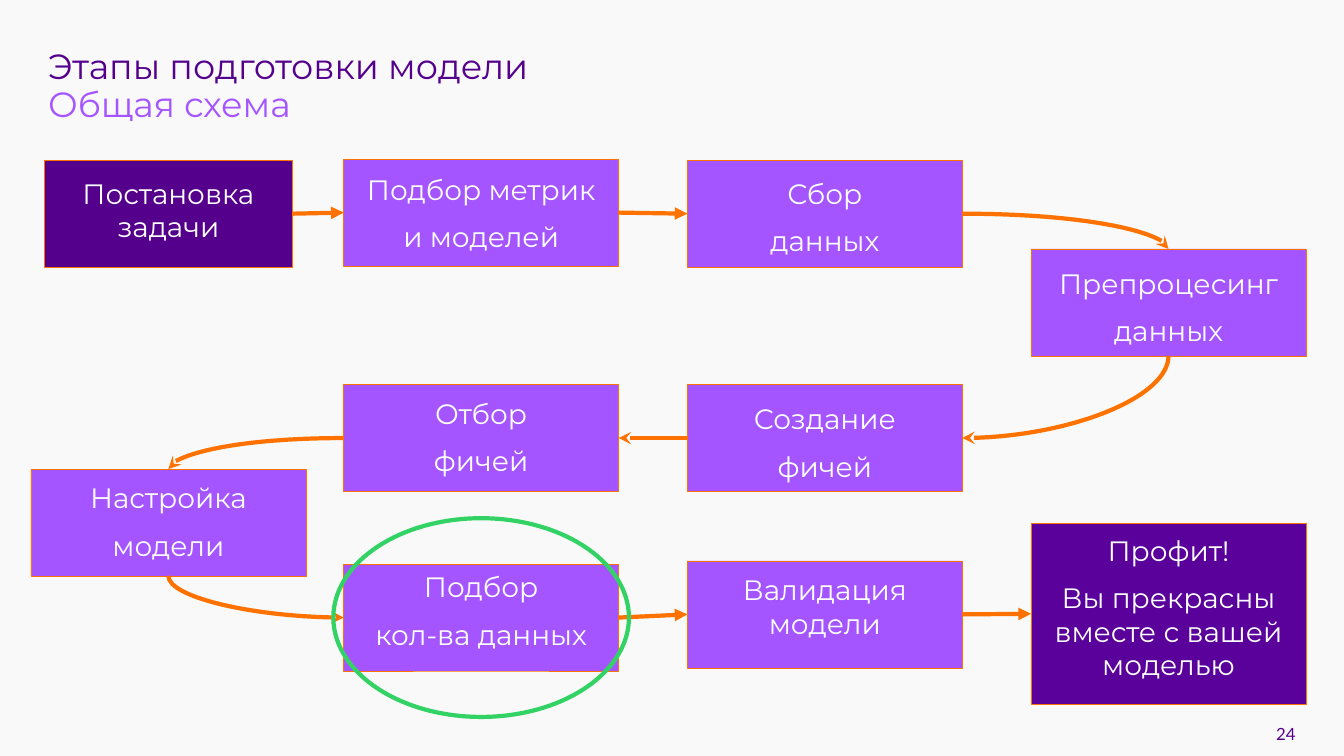
from dataclasses import dataclass

from lxml import etree
from pptx import Presentation
from pptx import util as u
from pptx.dml.color import RGBColor
from pptx.enum import shapes, text
from pptx.oxml import ns


@dataclass(frozen=True)
class Theme:
    background: str = "F9F9F9"
    dark: str = "55008C"
    finish: str = "5A009B"
    light: str = "A555FF"
    accent: str = "FF7200"
    highlight: str = "32D264"
    white: str = "FFFFFF"
    font: str = "Montserrat"
    number_font: str = "Lato"
    title_size: int = 50
    step_size: int = 40
    number_size: int = 24
    thin: float = 0.75
    thick: float = 6


theme = Theme()
COLUMN = u.Inches(6.82)
ROW = u.Inches(2.12)
TOP, LEFT, BOTTOM, RIGHT = range(4)  # connection sites of a rectangle

presentation = Presentation()
presentation.slide_width = u.Inches(26.67)
presentation.slide_height = u.Inches(15)
slide = presentation.slides.add_slide(presentation.slide_layouts[6])
slide.background.fill.solid()
slide.background.fill.fore_color.rgb = RGBColor.from_string(theme.background)


def write(shape, lines, size, font, alignment, anchor=text.MSO_ANCHOR.TOP):
    """Fill a shape with one paragraph per (line, colour) pair."""
    frame = shape.text_frame
    frame.word_wrap = True
    frame.vertical_anchor = anchor
    frame.margin_left = frame.margin_right = frame.margin_top = frame.margin_bottom = 0
    frame.text = "\n".join(line for line, _ in lines)
    for paragraph, (_, color) in zip(frame.paragraphs, lines):
        paragraph.alignment = alignment
        paragraph.font.size = u.Pt(size)
        paragraph.font.name = font
        paragraph.font.color.rgb = RGBColor.from_string(color)
    return frame


def connect(start, start_site, end, end_site, kind, arrow, at="tailEnd"):
    connector = slide.shapes.add_connector(kind, 0, 0, 0, 0)
    connector.begin_connect(start, start_site)
    connector.end_connect(end, end_site)
    connector.line.color.rgb = RGBColor.from_string(theme.accent)
    connector.line.width = u.Pt(theme.thick)
    etree.SubElement(connector.line._get_or_add_ln(), ns.qn("a:" + at), type=arrow)
    properties = connector._element.spPr
    etree.SubElement(properties, ns.qn("a:effectLst"))
    if kind == shapes.MSO_CONNECTOR.CURVE:
        properties.find(ns.qn("a:prstGeom")).set("prst", "curvedConnector2")


# Title
title = slide.shapes.add_textbox(0.14 * COLUMN, 0.46 * ROW, 1.87 * COLUMN, ROW)
title_lines = [("Этапы подготовки модели", theme.dark), ("Общая схема", theme.light)]
frame = write(title, title_lines, theme.title_size, theme.font, text.PP_ALIGN.LEFT)
for paragraph in frame.paragraphs:
    paragraph.line_spacing = 0.9

# Steps: column, row, width in columns, height in rows, text inset in rows, fill, lines
steps = [
    (0.13, 1.5, 0.72, 1, 0.15, theme.dark, ["Постановка задачи"]),
    (1, 1.49, 0.8, 1, 0.12, theme.light, ["Подбор метрик", "и моделей"]),
    (2, 1.5, 0.8, 1, 0.15, theme.light, ["Сбор", "данных"]),
    (3, 2.33, 0.8, 1, 0.16, theme.light, ["Препроцесинг", "данных"]),
    (2, 3.6, 0.8, 1, 0.16, theme.light, ["Создание", "фичей"]),
    (1, 3.6, 0.8, 1, 0.11, theme.light, ["Отбор", "фичей"]),
    (0.09, 4.39, 0.8, 1, 0.11, theme.light, ["Настройка", "модели"]),
    (1, 5.28, 0.8, 1, 0.05, theme.light, ["Подбор", "кол-ва данных"]),
    (2, 5.25, 0.8, 1, 0.11, theme.light, ["Валидация модели"]),
    (3, 4.9, 0.8, 1.69, 0.09, theme.finish,
     ["Профит!", "Вы прекрасны вместе с вашей моделью"]),
]
boxes = []
for column, row, width, height, inset, fill, lines in steps:
    box = slide.shapes.add_shape(
        shapes.MSO_SHAPE.RECTANGLE,
        column * COLUMN, row * ROW, width * COLUMN, height * ROW)
    box.shadow.inherit = False
    box.fill.solid()
    box.fill.fore_color.rgb = RGBColor.from_string(fill)
    box.line.color.rgb = RGBColor.from_string(theme.accent)
    box.line.width = u.Pt(theme.thin)
    frame = write(box, [(line, theme.white) for line in lines],
                  theme.step_size, theme.font, text.PP_ALIGN.CENTER)
    frame.margin_top = int(inset * ROW)
    for paragraph in frame.paragraphs[1:]:
        paragraph.space_before = u.Pt(20)
    boxes.append(box)
task, metrics, data, cleaning, creation, selection, tuning, amount, validation, profit = boxes

# Arrows along a row
for start, start_site, end, end_site, arrow in [
    (task, RIGHT, metrics, LEFT, "triangle"),
    (metrics, RIGHT, data, LEFT, "triangle"),
    (creation, LEFT, selection, RIGHT, "stealth"),
    (amount, RIGHT, validation, LEFT, "triangle"),
    (validation, RIGHT, profit, LEFT, "triangle"),
]:
    connect(start, start_site, end, end_site, shapes.MSO_CONNECTOR.STRAIGHT, arrow)

# Turns between rows: each curve leaves the side of a box and meets a top or bottom
for side_box, side, edge_box, edge, at in [
    (data, RIGHT, cleaning, TOP, "tailEnd"),
    (creation, RIGHT, cleaning, BOTTOM, "headEnd"),
    (selection, LEFT, tuning, TOP, "tailEnd"),
    (amount, LEFT, tuning, BOTTOM, "headEnd"),
]:
    connect(side_box, side, edge_box, edge, shapes.MSO_CONNECTOR.CURVE, "stealth", at)

# Current step and slide number
ring = slide.shapes.add_shape(
    shapes.MSO_SHAPE.OVAL, 0.97 * COLUMN, 4.85 * ROW, 0.86 * COLUMN, 1.86 * ROW)
ring.shadow.inherit = False
ring.fill.background()
ring.line.color.rgb = RGBColor.from_string(theme.highlight)
ring.line.width = u.Pt(theme.thick)

number = slide.shapes.add_textbox(2.89 * COLUMN, 6.58 * ROW, 0.88 * COLUMN, 0.38 * ROW)
write(number, [("24", theme.dark)], theme.number_size, theme.number_font,
      text.PP_ALIGN.RIGHT, text.MSO_ANCHOR.BOTTOM)

presentation.save("out.pptx")
